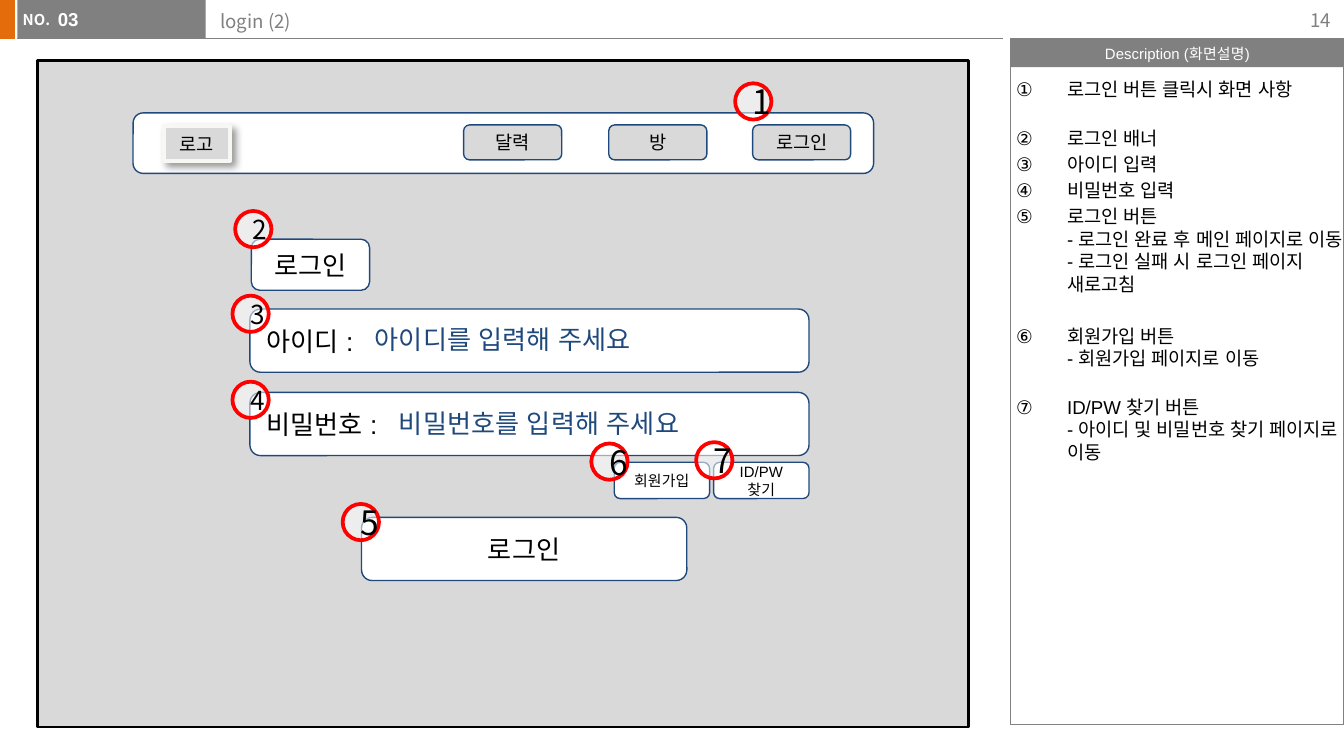
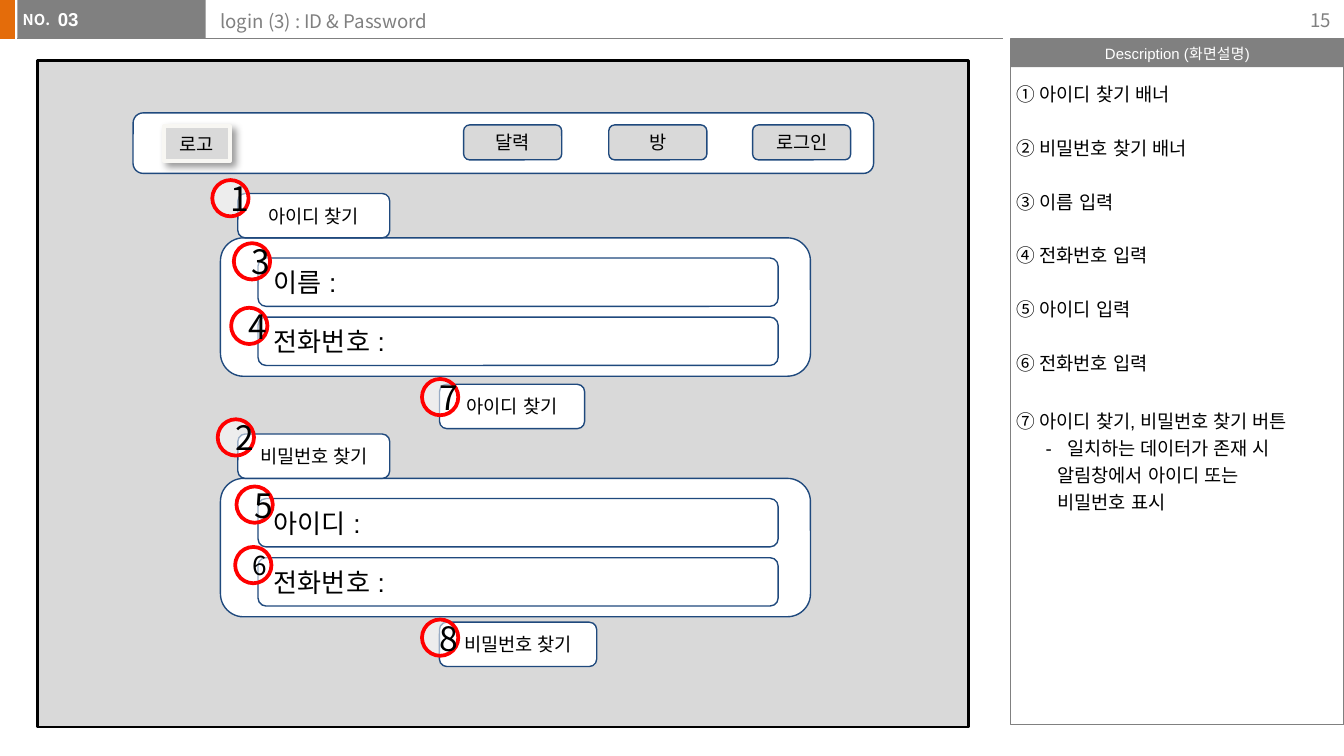
from lxml.etree import SubElement
from pptx import Presentation
from pptx.dml.color import RGBColor
from pptx.enum.shapes import MSO_CONNECTOR, MSO_SHAPE
from pptx.enum.text import MSO_ANCHOR, MSO_AUTO_SIZE, PP_ALIGN
from pptx.oxml.ns import qn
from pptx.util import Pt

PX = 9144  # EMU: 100 px to the inch

BLACK = RGBColor(0x00, 0x00, 0x00)
WHITE = RGBColor(0xFF, 0xFF, 0xFF)
GRAY = RGBColor(0x80, 0x80, 0x80)
SILVER = RGBColor(0xD9, 0xD9, 0xD9)
IVORY = RGBColor(0xF8, 0xF7, 0xF3)
ORANGE = RGBColor(0xE4, 0x6C, 0x0A)
NAVY = RGBColor(0x1F, 0x49, 0x7D)
RED = RGBColor(0xFF, 0x00, 0x00)

LATIN = "Arial"
KOREAN = "Noto Sans CJK KR"

LEFT, CENTER, RIGHT = PP_ALIGN.LEFT, PP_ALIGN.CENTER, PP_ALIGN.RIGHT
TOP, MIDDLE = MSO_ANCHOR.TOP, MSO_ANCHOR.MIDDLE


def px(*lengths):
    return [length * PX for length in lengths]


def write(paragraph, text, size=10, font=LATIN, color=BLACK, bold=False, align=LEFT,
          before=0, spacing=None, margin=0, hanging=0, numbered=False):
    paragraph.text = text
    props = paragraph._p.get_or_add_pPr()
    props.set("marL", str(margin * PX))
    props.set("indent", str(-hanging * PX))
    if numbered:
        SubElement(props, qn("a:buAutoNum"), type="circleNumDbPlain")
    else:
        SubElement(props, qn("a:buNone"))
    paragraph.alignment = align
    paragraph.space_before = Pt(before)
    if spacing:
        paragraph.line_spacing = spacing
    for run in paragraph.runs:
        run.font.size = Pt(size)
        run.font.bold = bold
        run.font.color.rgb = color
        run.font.name = font
        SubElement(run.font._element, qn("a:ea"), typeface=font)


def set_frame(frame, insets=(10, 5, 10, 5), anchor=TOP, wrap=True):
    frame.auto_size = MSO_AUTO_SIZE.NONE
    frame.word_wrap = wrap
    frame.vertical_anchor = anchor
    (frame.margin_left, frame.margin_top,
     frame.margin_right, frame.margin_bottom) = px(*insets)


class Wireframe:
    def __init__(self):
        self.deck = Presentation()
        self.deck.slide_width = 1000 * PX
        self.deck.slide_height = self.deck.slide_width * 9 // 16
        self.slide = None

    def shape(self, kind, box, fill=None, line=None, width=0.75):
        shape = self.slide.shapes.add_shape(kind, *px(*box))
        shape.shadow.inherit = False
        if fill is None:
            shape.fill.background()
        else:
            shape.fill.solid()
            shape.fill.fore_color.rgb = fill
        if line is None:
            shape.line.fill.background()
        else:
            shape.line.color.rgb = line
            shape.line.width = Pt(width)
        return shape

    def rule(self, x1, y1, x2, y2):
        rule = self.slide.shapes.add_connector(MSO_CONNECTOR.STRAIGHT, *px(x1, y1, x2, y2))
        rule.line.color.rgb = GRAY
        rule.line.width = Pt(0.5)
        SubElement(rule.element.spPr, qn("a:effectLst"))

    def label(self, box, text, anchor=TOP, wrap=True, **style):
        frame = self.slide.shapes.add_textbox(*px(*box)).text_frame
        set_frame(frame, anchor=anchor, wrap=wrap)
        write(frame.paragraphs[0], text, **style)

    def placeholder(self, index, box, paragraphs, insets=(10, 5, 10, 5)):
        """Place a template placeholder on top and fill it with (text, style) pairs."""
        holder = self.slide.placeholders[index]
        holder.left, holder.top, holder.width, holder.height = px(*box)
        holder.element.getparent().append(holder.element)
        frame = holder.text_frame
        set_frame(frame, insets)
        for number, (text, style) in enumerate(paragraphs):
            write(frame.add_paragraph() if number else frame.paragraphs[0], text, **style)

    def control(self, box, text="", fill=WHITE, **style):
        """Rounded button, field or panel."""
        control = self.shape(MSO_SHAPE.ROUNDED_RECTANGLE, box, fill, NAVY)
        if text:
            set_frame(control.text_frame, (10, 10, 10, 10), MIDDLE)
            write(control.text_frame.paragraphs[0], text, **{"align": CENTER, **style})

    def marker(self, number, left, top, size=18):
        """Red ring with the number used in the description."""
        ring = self.shape(MSO_SHAPE.OVAL, (left, top, 27, 27), WHITE, RED, 2)
        SubElement(ring.element.spPr.find(".//" + qn("a:srgbClr")), qn("a:alpha"), val="55000")
        set_frame(ring.text_frame, anchor=MIDDLE)
        write(ring.text_frame.paragraphs[0], str(number), size=size, font=KOREAN, align=CENTER)

    def logo(self):
        logo = self.shape(MSO_SHAPE.RECTANGLE, (122, 94, 49, 26), SILVER, IVORY, 2)
        shadow = SubElement(logo.element.spPr.find(qn("a:effectLst")), qn("a:outerShdw"),
                            blurRad=str(Pt(4)), dist=str(Pt(3)), dir=str(45 * 60000),
                            algn="tl", rotWithShape="0")
        SubElement(SubElement(shadow, qn("a:srgbClr"), val=str(BLACK)), qn("a:alpha"), val="40000")
        set_frame(logo.text_frame, anchor=MIDDLE)
        write(logo.text_frame.paragraphs[0], "로고", font=KOREAN, align=CENTER)

    def start_slide(self, title, page, description):
        """Add a slide with its header, description column and site menu."""
        self.slide = self.deck.slides.add_slide(self.deck.slide_layouts[3])
        rectangle = MSO_SHAPE.RECTANGLE
        self.shape(rectangle, (-1, 0, 12, 29), ORANGE)
        self.rule(13, 29, 746, 29)
        self.shape(rectangle, (13, 0, 140, 29), GRAY)
        self.label((7, 3, 41, 24), "NO.", wrap=False, size=8, font=KOREAN, color=WHITE, bold=True)
        heading = self.shape(rectangle, (752, 29, 248, 21), GRAY)
        set_frame(heading.text_frame, (9, 4, 9, 4), MIDDLE, wrap=False)
        write(heading.text_frame.paragraphs[0], "Description (화면설명)",
              size=8, color=WHITE, align=CENTER)
        self.shape(rectangle, (752, 29, 248, 510), line=GRAY)

        self.placeholder(1, (752, 53, 248, 488), description, (4, 5, 0, 5))
        self.placeholder(0, (154, 2, 591, 32), [(title, dict(font=KOREAN, color=GRAY))])
        self.placeholder(2, (43, 1, 110, 31), [("03", dict(color=WHITE, bold=True))],
                         (0, 5, 0, 5))
        self.shape(rectangle, (28, 45, 693, 496), SILVER, BLACK, 1.5)
        self.label((940, 0, 60, 30), str(page), anchor=MIDDLE,
                   font=KOREAN, color=GRAY, align=RIGHT)

        self.control((99, 84, 551, 45))
        for left, menu in ((345, "달력"), (453, "방"), (560, "로그인")):
            self.control((left, 93, 73, 26), menu, SILVER)
        self.logo()


def build_login(wireframe):
    items = [
        ("로그인 버튼 클릭시 화면 사항", 0),
        ("로그인 배너", 14),
        ("아이디 입력", 2),
        ("비밀번호 입력", 2),
        ("로그인 버튼\n- 로그인 완료 후 메인 페이지로 이동\n- 로그인 실패 시 로그인 페이지 새로고침", 2),
        ("회원가입 버튼\n- 회원가입 페이지로 이동", 16),
        ("ID/PW 찾기 버튼\n- 아이디 및 비밀번호 찾기 페이지로 이동", 14),
    ]
    wireframe.start_slide("login (2)", 14, [
        (text, dict(before=gap, margin=38, hanging=38, numbered=True)) for text, gap in items])

    wireframe.control((187, 178, 88, 38), "로그인", size=14)
    for top, field, hint, hint_left in ((230, "아이디 :", "아이디를 입력해 주세요", 269),
                                        (292, "비밀번호 :", "비밀번호를 입력해 주세요", 287)):
        wireframe.control((186, top, 416, 47), field, size=14, align=LEFT)
        wireframe.label((hint_left, top + 6, 293, 34), hint, size=14, color=NAVY)
    wireframe.control((531, 344, 71, 27), "ID/PW 찾기", size=8)
    wireframe.control((457, 344, 71, 27), "회원가입", size=8)
    wireframe.control((269, 385, 242, 47), "로그인", size=14)

    for number, left, top, size in ((1, 547, 62, 18), (2, 175, 157, 14), (3, 173, 220, 14),
                                    (4, 173, 284, 14), (5, 255, 375, 18), (6, 440, 330, 18),
                                    (7, 518, 329, 18)):
        wireframe.marker(number, left, top, size)


def build_account_search(wireframe):
    items = ["① 아이디 찾기 배너", "② 비밀번호 찾기 배너", "③ 이름 입력",
             "④ 전화번호 입력", "⑤ 아이디 입력", "⑥ 전화번호 입력"]
    description = [(text, dict(before=14.5 if row else 0, spacing=1.2))
                   for row, text in enumerate(items)]
    description += [
        ("⑦ 아이디 찾기, 비밀번호 찾기 버튼", dict(before=16.5, spacing=1.2)),
        ("-\t일치하는 데이터가 존재 시", dict(spacing=1.2, margin=38, hanging=16)),
        ("알림창에서 아이디 또는\n비밀번호 표시", dict(spacing=1.2, margin=31)),
    ]
    wireframe.start_slide("login (3) : ID & Password", 15, description)

    for top, name, fields, button_top, button_width in (
            (177, "아이디 찾기", ("이름 :", "전화번호 :"), 286, 108),
            (356, "비밀번호 찾기", ("아이디 :", "전화번호 :"), 463, 117)):
        wireframe.control((164, top, 439, 103))
        wireframe.control((177, top - 33, 113, 33), name)
        for row, field in enumerate(fields):
            wireframe.control((192, top + 15 + 44 * row, 387, 36), field, size=14, align=LEFT)
        wireframe.control((327, button_top, button_width, 33), name)

    for number, left, top, size in ((1, 158, 134, 18), (2, 162, 312, 18), (3, 174, 181, 18),
                                    (4, 172, 229, 18), (5, 176, 362, 18), (6, 175, 407, 14),
                                    (7, 314, 282, 18), (8, 314, 461, 18)):
        wireframe.marker(number, left, top, size)


def main():
    wireframe = Wireframe()
    build_login(wireframe)
    build_account_search(wireframe)
    wireframe.deck.save("out.pptx")


if __name__ == "__main__":
    main()
